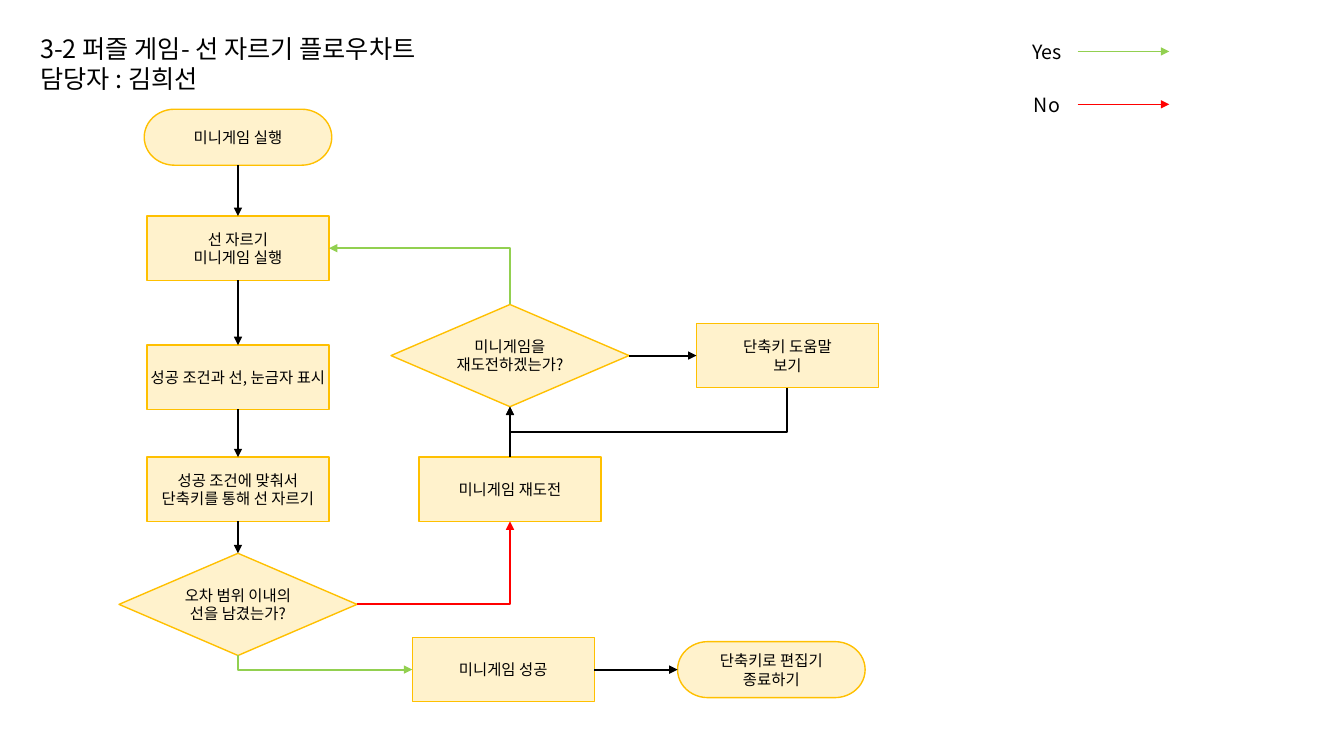
from dataclasses import dataclass

from lxml.etree import SubElement
from pptx import Presentation
from pptx.dml.color import RGBColor
from pptx.enum.shapes import MSO_CONNECTOR, MSO_SHAPE
from pptx.enum.text import MSO_ANCHOR, MSO_AUTO_SIZE, PP_ALIGN
from pptx.oxml.ns import qn
from pptx.util import Pt


@dataclass(frozen=True)
class Theme:
    font: str = "Noto Sans CJK KR"
    ink: str = "000000"
    fill: str = "FFF2CC"
    border: str = "FFC000"
    yes: str = "92D050"
    no: str = "FF0000"
    title_size: float = 18
    legend_size: float = 14
    step_size: float = 11
    leading: float = 1.2
    border_width: float = 1
    flow_width: float = 1.5
    legend_width: float = 0.5


@dataclass(frozen=True)
class Box:
    left: float
    top: float
    width: float
    height: float

    def lengths(self):
        return [Pt(n) for n in (self.left, self.top, self.width, self.height)]


THEME = Theme()
TOP, LEFT, BOTTOM, RIGHT = range(4)

# Kind of step: preset shape, width, height, side inset, wrapping
KINDS = {
    "terminal": (MSO_SHAPE.FLOWCHART_TERMINATOR, 134, 40, 14, True),
    "process": (MSO_SHAPE.RECTANGLE, 130, 46, 1, True),
    "decision": (MSO_SHAPE.FLOWCHART_DECISION, 170, 73, 0, False),
}

# Step: kind, centre within the flowchart, text
STEPS = {
    "start": ("terminal", 85, 20, "미니게임 실행"),
    "run": ("process", 85, 99.3, "선 자르기\n미니게임 실행"),
    "show": ("process", 85, 191.5, "성공 조건과 선, 눈금자 표시"),
    "cut": ("process", 85, 271.5, "성공 조건에 맞춰서\n단축키를 통해 선 자르기"),
    "check": ("decision", 85, 353.7, "오차 범위 이내의\n선을 남겼는가?"),
    "success": ("process", 274.5, 400.3, "미니게임 성공"),
    "exit": ("terminal", 466, 400.3, "단축키로 편집기 종료하기"),
    "retry": ("process", 279.3, 271.5, "미니게임 재도전"),
    "ask": ("decision", 279.3, 176, "미니게임을\n재도전하겠는가?"),
    "help": ("process", 477.5, 176, "단축키 도움말\n보기"),
}

# Straight arrows: from step and side, to step and side
STRAIGHTS = [
    ("start", BOTTOM, "run", TOP),
    ("run", BOTTOM, "show", TOP),
    ("show", BOTTOM, "cut", TOP),
    ("cut", BOTTOM, "check", TOP),
    ("success", RIGHT, "exit", LEFT),
    ("retry", TOP, "ask", BOTTOM),
    ("ask", RIGHT, "help", LEFT),
]

# Bent arrows: from step and side, to step and side, colour, drop below the start
BENDS = [
    ("check", BOTTOM, "success", LEFT, THEME.yes, None),
    ("check", RIGHT, "retry", BOTTOM, THEME.no, None),
    ("ask", TOP, "run", RIGHT, THEME.yes, None),
    ("help", BOTTOM, "ask", BOTTOM, THEME.ink, 31.5),
]


def apply(target, formats):
    for name, value in formats.items():
        setattr(target, name, value)


def write(frame, text, size, align, **formats):
    """Fill a text frame, one paragraph for each line of text."""
    apply(frame, {"auto_size": MSO_AUTO_SIZE.NONE, "word_wrap": True,
                  "margin_top": 0, "margin_bottom": 0, **formats})
    frame.text = text
    for para in frame.paragraphs:
        apply(para, {"alignment": align, "line_spacing": Pt(size * THEME.leading),
                     "space_before": Pt(0)})
        for span in para.runs:
            apply(span.font, {"name": THEME.font, "size": Pt(size)})
            span.font.color.rgb = RGBColor.from_string(THEME.ink)
            east_asian = SubElement(span.font._element, qn("a:ea"))
            east_asian.set("typeface", THEME.font)


def add_arrow(page, kind, ends, color, width):
    arrow = page.shapes.add_connector(kind, *[Pt(n) for n in ends])
    arrow.line.color.rgb = RGBColor.from_string(color)
    arrow.line.width = Pt(width)
    SubElement(arrow.line._get_or_add_ln(), qn("a:tailEnd")).set("type", "triangle")
    SubElement(arrow._element.spPr, qn("a:effectLst"))
    return arrow


def bend(arrow, side, drop):
    """Shape an elbow so that it leaves its start through the given side."""
    run = arrow.end_x - arrow.begin_x
    rise = arrow.end_y - arrow.begin_y
    middle_x = (arrow.begin_x + arrow.end_x) // 2
    middle_y = (arrow.begin_y + arrow.end_y) // 2
    upright = side in (TOP, BOTTOM)
    width, height = (abs(rise), abs(run)) if upright else (abs(run), abs(rise))
    apply(arrow, {"left": middle_x - width // 2, "top": middle_y - height // 2,
                  "width": width, "height": height})
    flips = (rise > 0, run < 0) if upright else (run < 0, rise < 0)
    frame = arrow._element.spPr.find(qn("a:xfrm"))
    for name, value in {"rot": 16200000 if upright else 0,
                        "flipH": int(flips[0]), "flipV": int(flips[1])}.items():
        frame.set(name, str(value))
    geometry = arrow._element.spPr.find(qn("a:prstGeom"))
    geometry.set("prst", "bentConnector3" if drop else "bentConnector2")
    if drop:
        guide = SubElement(geometry.find(qn("a:avLst")), qn("a:gd"))
        guide.set("name", "adj1")
        guide.set("fmla", f"val {round(Pt(drop) / width * 100000)}")


def add_title(page, box):
    title = page.shapes.title
    apply(title, dict(zip(("left", "top", "width", "height"), box.lengths())))
    write(title.text_frame, "3-2 퍼즐 게임- 선 자르기 플로우차트\n담당자 : 김희선",
          THEME.title_size, PP_ALIGN.LEFT, vertical_anchor=MSO_ANCHOR.TOP)


def add_legend(page, box):
    label_width, row_height, pitch = 44, 24.5, 37.8
    for row, (text, color) in enumerate((("Yes", THEME.yes), ("No", THEME.no))):
        top = box.top + row * pitch
        label = page.shapes.add_textbox(
            *Box(box.left, top, label_width, row_height).lengths())
        write(label.text_frame, text, THEME.legend_size, PP_ALIGN.CENTER,
              vertical_anchor=MSO_ANCHOR.MIDDLE)
        middle = top + row_height / 2
        add_arrow(page, MSO_CONNECTOR.STRAIGHT,
                  (box.left + label_width, middle, box.left + box.width, middle),
                  color, THEME.legend_width)


def add_step(page, box, kind, center_x, center_y, text):
    preset, width, height, inset, wrap = KINDS[kind]
    step = page.shapes.add_shape(preset, *Box(
        box.left + center_x - width / 2, box.top + center_y - height / 2,
        width, height).lengths())
    step.shadow.inherit = False
    step.fill.solid()
    step.fill.fore_color.rgb = RGBColor.from_string(THEME.fill)
    step.line.color.rgb = RGBColor.from_string(THEME.border)
    step.line.width = Pt(THEME.border_width)
    write(step.text_frame, text, THEME.step_size, PP_ALIGN.CENTER, word_wrap=wrap,
          margin_left=Pt(inset), margin_right=Pt(inset),
          vertical_anchor=MSO_ANCHOR.MIDDLE)
    return step


def add_flowchart(page, box):
    steps = {name: add_step(page, box, *step) for name, step in STEPS.items()}

    def join(kind, first, first_side, second, second_side, color):
        arrow = add_arrow(page, kind, (0, 0, 0, 0), color, THEME.flow_width)
        arrow.begin_connect(steps[first], first_side)
        arrow.end_connect(steps[second], second_side)
        return arrow

    for ends in STRAIGHTS:
        join(MSO_CONNECTOR.STRAIGHT, *ends, THEME.ink)
    for *ends, color, drop in BENDS:
        bend(join(MSO_CONNECTOR.ELBOW, *ends, color), ends[1], drop)


def main():
    deck = Presentation()
    deck.slide_width, deck.slide_height = Pt(960), Pt(540)
    page = deck.slides.add_slide(deck.slide_layouts[5])
    add_title(page, Box(21.6, 23.5, 351, 48))
    add_legend(page, Box(725.8, 24.5, 109.4, 62.3))
    add_flowchart(page, Box(85, 78, 543, 424))
    deck.save("out.pptx")


if __name__ == "__main__":
    main()
